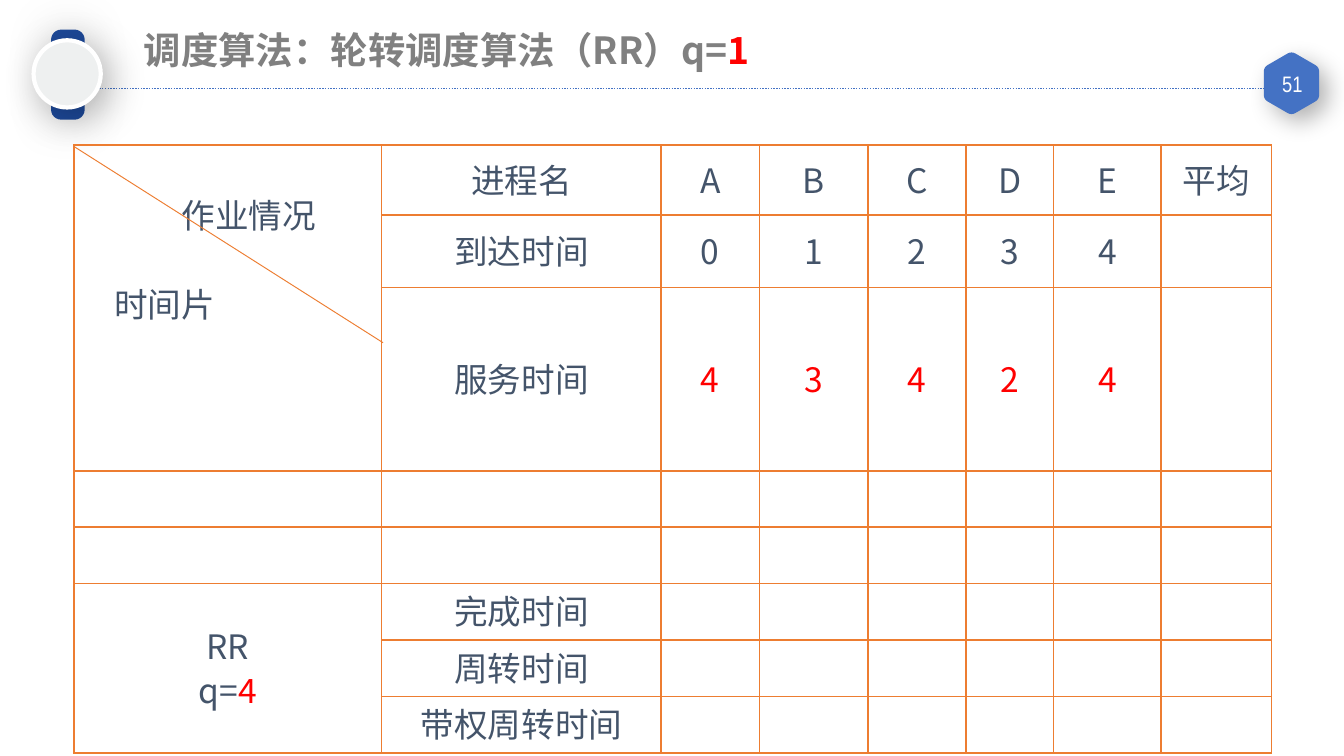
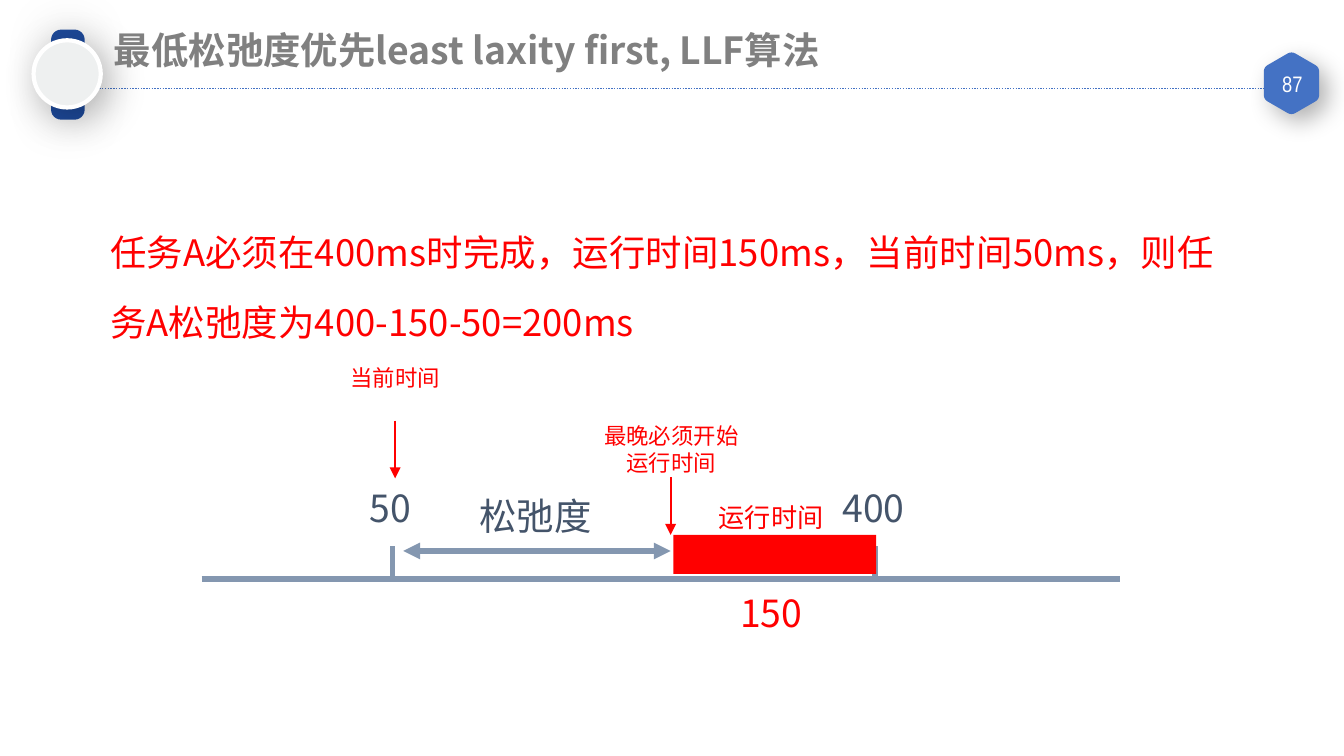
"""Builds two slides on process scheduling: a round-robin table and a least-laxity timeline."""
from dataclasses import dataclass
from math import cos, radians, sin

from lxml.etree import SubElement
from pptx import Presentation
from pptx.dml.color import RGBColor
from pptx.enum.dml import MSO_LINE
from pptx.enum.shapes import MSO_CONNECTOR, MSO_SHAPE
from pptx.enum.text import MSO_ANCHOR, MSO_AUTO_SIZE, PP_ALIGN
from pptx.oxml.ns import qn
from pptx.util import Inches, Pt


@dataclass(frozen=True)
class Theme:
    font: str = "Noto Sans CJK SC"
    number_font: str = "Arial Narrow"
    title: str = "808080"
    text: str = "44546A"
    red: str = "FF0000"
    blue: str = "4472C4"
    strap: str = "1D4999"
    dial: str = "EEF0F0"
    rim: str = "FFFFFF"
    grid: str = "ED7D31"
    axis: str = "8497B0"
    white: str = "FFFFFF"
    title_size: float = 20
    body_size: float = 19.5
    table_size: float = 18
    label_size: float = 14
    small_size: float = 12


T = Theme()
rgb = RGBColor.from_string


def write(tf, lines, size, color, align=None, bold=None, spacing=None, font=T.font):
    """Fill a text frame; the second part of a tuple line is red."""
    for i, line in enumerate(lines):
        p = tf.paragraphs[0] if i == 0 else tf.add_paragraph()
        parts = (line,) if isinstance(line, str) else line
        for part in parts:
            p.add_run().text = part
        p.alignment, p.line_spacing = align, spacing
        p.font.name, p.font.size, p.font.bold = font, Pt(size), bold
        p.font.color.rgb = rgb(color)
        SubElement(p.font._element, qn("a:ea"), typeface=font)
        if len(parts) > 1:
            p.runs[0].font.color.rgb = rgb(color)
            p.runs[1].font.color.rgb = rgb(T.red)


def draw_line(s, x1, y1, x2, y2, color, width, ends=()):
    """Draw a straight line with triangles at the named ends."""
    c = s.shapes.add_connector(MSO_CONNECTOR.STRAIGHT, Inches(x1), Inches(y1), Inches(x2), Inches(y2))
    c.line.color.rgb, c.line.width = rgb(color), Pt(width)
    for end in ends:
        SubElement(c.line._get_or_add_ln(), qn(f"a:{end}"), type="triangle")
    SubElement(c._element.spPr, qn("a:effectLst"))
    return c


prs = Presentation()
prs.slide_width, prs.slide_height = Inches(10), Inches(10 * 9 / 16)
slides = []

cx, cy, radius, cut = 9.61, 0.62, 0.23, 0.13
corners = [(cx + radius * cos(radians(a)), cy + radius * sin(radians(a))) for a in range(-90, 270, 60)]
badge_points = []
for i, corner in enumerate(corners):
    before, after = corners[i - 1], corners[(i + 1) % 6]
    start, end = [[c + cut * (n - c) for c, n in zip(corner, near)] for near in (before, after)]
    for t in (0, 0.25, 0.5, 0.75, 1):
        badge_points.append([Inches((1 - t) ** 2 * a + 2 * t * (1 - t) * c + t * t * b)
                             for a, c, b in zip(start, corner, end)])

titles = [
    ("51", ("调度算法：轮转调度算法（RR）q=", "1"), (1, 0.16, 4.92, 0.41), (0.07, 0.04)),
    ("87", "最低松弛度优先least laxity first, LLF算法", (0.75, 0.15, 5.76, 0.44), (0.1, 0.05)),
]
for number, title, box, (side, edge) in titles:
    s = prs.slides.add_slide(prs.slide_layouts[6])
    slides.append(s)
    draw_line(s, 0.33, 0.66, 9.43, 0.66, T.blue, 0.75).line.dash_style = MSO_LINE.ROUND_DOT

    builder = s.shapes.build_freeform(*badge_points[0], scale=1.0)
    builder.add_line_segments(badge_points[1:], close=True)
    badge = builder.convert_to_shape()
    strap = s.shapes.add_shape(MSO_SHAPE.ROUNDED_RECTANGLE, Inches(0.17), Inches(0.43), Inches(0.67), Inches(0.25))
    strap.adjustments[0], strap.rotation = 0.3, 270
    dial = s.shapes.add_shape(MSO_SHAPE.OVAL, Inches(0.25), Inches(0.3), Inches(0.5), Inches(0.5))
    for sp, fill, rim, width, (alpha, blur, dist, angle) in (
        (badge, T.blue, T.blue, 1, (30, 13, 6, 45)),
        (strap, T.strap, None, 0, (17, 27, 0, 0)),
        (dial, T.dial, T.rim, 2.25, (28, 22, 6, 45)),
    ):
        sp.fill.solid()
        sp.fill.fore_color.rgb = rgb(fill)
        if rim:
            sp.line.color.rgb, sp.line.width = rgb(rim), Pt(width)
        else:
            sp.line.fill.background()
        sp.shadow.inherit = False
        effects = sp._element.spPr.find(qn("a:effectLst"))
        shadow = SubElement(effects, qn("a:outerShdw"), blurRad=str(Pt(blur)), dist=str(Pt(dist)),
                            dir=str(angle * 60000), algn="ctr", rotWithShape="0")
        tint = SubElement(shadow, qn("a:srgbClr"), val="000000")
        SubElement(tint, qn("a:alpha"), val=str(alpha * 1000))

    tf = s.shapes.add_textbox(Inches(9.42), Inches(0.5), Inches(0.39), Inches(0.25)).text_frame
    tf.word_wrap, tf.vertical_anchor = True, MSO_ANCHOR.MIDDLE
    tf.margin_left = tf.margin_right = Inches(0.07)
    tf.margin_top = tf.margin_bottom = Inches(0.04)
    write(tf, [number], T.small_size, T.white, PP_ALIGN.CENTER, font=T.number_font)

    tf = s.shapes.add_textbox(*map(Inches, box)).text_frame
    tf.word_wrap, tf.auto_size = True, MSO_AUTO_SIZE.SHAPE_TO_FIT_TEXT
    tf.margin_left = tf.margin_right = Inches(side)
    tf.margin_top = tf.margin_bottom = Inches(edge)
    write(tf, [title], T.title_size, T.title, bold=True)

rr, llf = slides

widths = [2.29, 2.08, 0.73, 0.81, 0.73, 0.65, 0.8, 0.82]
heights = [0.52, 0.54, 0.4] + [0.42] * 5
rows = [
    ["", "进程名", *"ABCDE", "平均"],
    ["", "到达时间", *"01234"],
    ["", "服务时间", *"43424"],
    [],
    [],
    ["", "完成时间"],
    ["", "周转时间"],
    ["", "带权周转时间"],
]
frame = rr.shapes.add_table(len(heights), len(widths), Inches(0.55), Inches(1.08),
                            Inches(sum(widths)), Inches(sum(heights)))
table = frame.table
table.first_row = table.horz_banding = False
for column, width in zip(table.columns, widths):
    column.width = Inches(width)
for row, height in zip(table.rows, heights):
    row.height = Inches(height)
for r in range(len(heights)):
    for c in range(len(widths)):
        cell = table.cell(r, c)
        cell.margin_left = cell.margin_right = Inches(0.08)
        cell.margin_top = cell.margin_bottom = Inches(0.03)
        cell.vertical_anchor = MSO_ANCHOR.MIDDLE
        for side in ("lnL", "lnR", "lnT", "lnB"):
            ln = SubElement(cell._tc.get_or_add_tcPr(), qn(f"a:{side}"), w=str(Pt(1)))
            SubElement(SubElement(ln, qn("a:solidFill")), qn("a:srgbClr"), val=T.grid)
        cell.fill.background()
        if c < len(rows[r]) and rows[r][c]:
            color = T.red if r == 2 and c > 1 else T.text
            write(cell.text_frame, [rows[r][c]], T.table_size, color, PP_ALIGN.CENTER, spacing=0.9)

corner = table.cell(0, 0)
corner.merge(table.cell(2, 0))
corner.vertical_anchor = MSO_ANCHOR.TOP
corner.margin_top, corner.margin_bottom = Inches(0.36), Inches(0.13)
write(corner.text_frame, ["作业情况", "时间片"], T.table_size, T.text, spacing=0.9)
for p, indent in zip(corner.text_frame.paragraphs, (0.72, 0.22)):
    p._p.get_or_add_pPr().set("marL", str(Inches(indent)))
corner.text_frame.paragraphs[1].space_before = Pt(24)
quantum = table.cell(5, 0)
quantum.merge(table.cell(7, 0))
write(quantum.text_frame, ["RR", ("q=", "4")], T.table_size, T.text, PP_ALIGN.CENTER, spacing=0.9)
draw_line(rr, 0.55, 1.09, 2.85, 2.55, T.grid, 0.5)

tf = llf.shapes.add_textbox(Inches(0.75), Inches(1.48), Inches(8.48), Inches(1.7)).text_frame
tf.word_wrap = True
tf.margin_left = tf.margin_right = Inches(0.07)
tf.margin_top = tf.margin_bottom = Inches(0.04)
write(tf, ["任务A必须在400ms时完成，运行时间150ms，当前时间50ms，则任务A松弛度为400-150-50=200ms"],
      T.body_size, T.red, spacing=1.6)

axis_y = 4.31
draw_line(llf, 1.5, axis_y, 8.33, axis_y, T.axis, 3)
for x in (2.92, 6.51):
    draw_line(llf, x, axis_y, x, axis_y - 0.25, T.axis, 3)
run = llf.shapes.add_shape(MSO_SHAPE.RECTANGLE, Inches(5.01), Inches(3.98), Inches(1.51), Inches(0.29))
run.fill.solid()
run.fill.fore_color.rgb = rgb(T.red)
run.line.fill.background()
run.shadow.inherit = False
draw_line(llf, 3, 4.1, 4.99, 4.1, T.axis, 3, ("headEnd", "tailEnd"))
for x, y in ((4.99, 3.55), (2.94, 3.13)):
    draw_line(llf, x, y, x, y + 0.43, T.red, 1, ("tailEnd",))

labels = [
    (["400"], (6.17, 3.56, 0.7, 0.44), T.title_size, T.text, None),
    (["50"], (2.65, 3.56, 0.53, 0.44), T.title_size, T.text, None),
    (["松弛度"], (3.47, 3.62, 1.04, 0.44), T.title_size, T.text, None),
    (["运行时间"], (5.25, 3.68, 0.99, 0.34), T.label_size, T.red, None),
    (["150"], (5.41, 4.34, 0.7, 0.44), T.title_size, T.red, None),
    (["最晚必须开始", "运行时间"], (4.39, 3.09, 1.21, 0.5), T.small_size, T.red, PP_ALIGN.CENTER),
    (["当前时间"], (2.5, 2.66, 0.88, 0.3), T.small_size, T.red, PP_ALIGN.CENTER),
]
for lines, box, size, color, align in labels:
    tf = llf.shapes.add_textbox(*map(Inches, box)).text_frame
    tf.word_wrap, tf.auto_size = False, MSO_AUTO_SIZE.SHAPE_TO_FIT_TEXT
    write(tf, lines, size, color, align)

prs.save("out.pptx")
